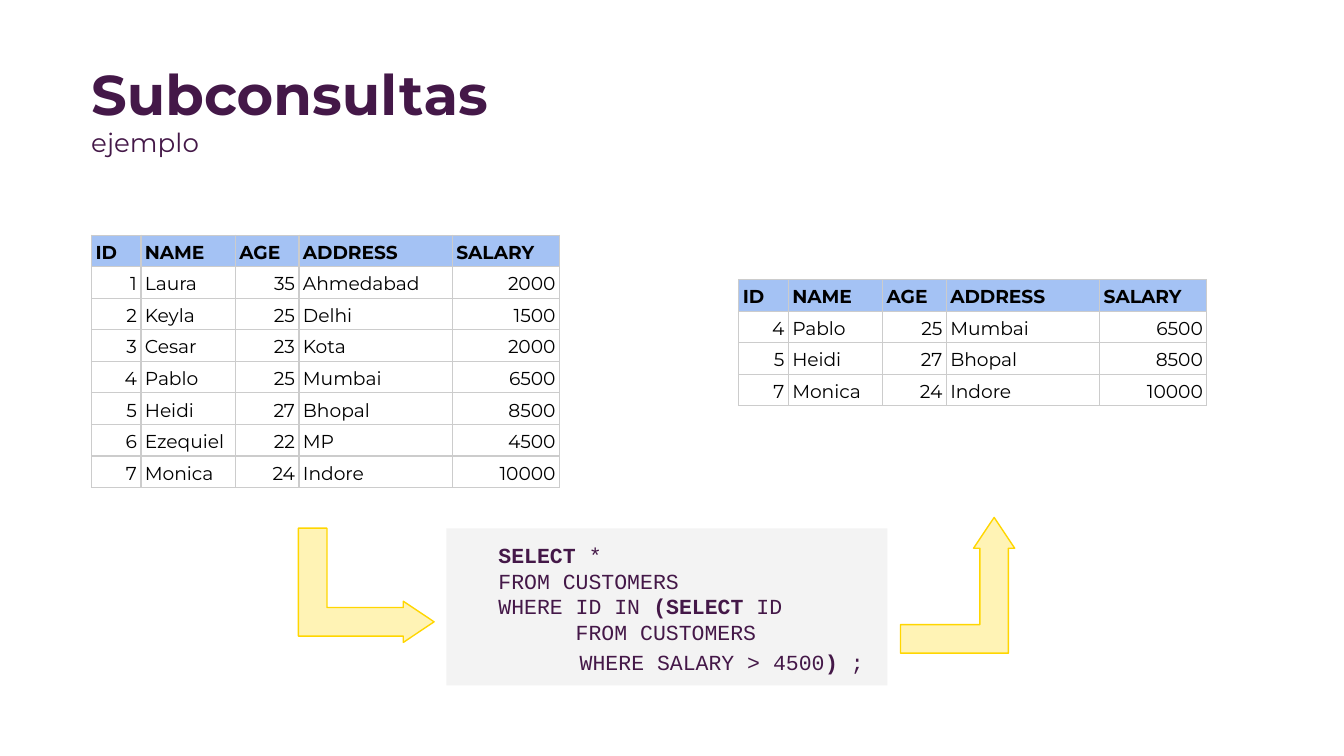
from lxml import etree
from pptx import Presentation
from pptx.dml.color import RGBColor
from pptx.enum.shapes import MSO_SHAPE
from pptx.enum.text import MSO_ANCHOR, MSO_AUTO_SIZE, PP_ALIGN
from pptx.oxml.ns import qn
from pptx.util import Pt

RECTANGLE = MSO_SHAPE.RECTANGLE
BENT_ARROW = MSO_SHAPE.BENT_UP_ARROW
BOTTOM, TOP = MSO_ANCHOR.BOTTOM, MSO_ANCHOR.TOP
LEFT, RIGHT = PP_ALIGN.LEFT, PP_ALIGN.RIGHT
FIT_SHAPE = MSO_AUTO_SIZE.SHAPE_TO_FIT_TEXT

COLORS = {
    "plum": "441848",
    "black": "000000",
    "header": "A4C2F4",
    "grid": "CCCCCC",
    "code": "F3F3F3",
    "yellow": "FFD600",
}
SANS, MONO = "Montserrat", "Courier New"

COLUMN_WIDTHS = [26.5, 50.6, 34.1, 82.2, 57.4]
ROW_HEIGHT = 16.9
HEADINGS = ("ID", "NAME", "AGE", "ADDRESS", "SALARY")
CUSTOMERS = [
    (1, "Laura", 35, "Ahmedabad", 2000),
    (2, "Keyla", 25, "Delhi", 1500),
    (3, "Cesar", 23, "Kota", 2000),
    (4, "Pablo", 25, "Mumbai", 6500),
    (5, "Heidi", 27, "Bhopal", 8500),
    (6, "Ezequiel", 22, "MP", 4500),
    (7, "Monica", 24, "Indore", 10000),
]
# Each line is a list of (text, bold) spans.
QUERY = [
    [("   ", False), ("SELECT ", True), ("*", False)],
    [("   FROM CUSTOMERS", False)],
    [("   WHERE ID IN ", False), ("(SELECT", True), (" ID", False)],
    [("         FROM CUSTOMERS", False)],
    [("         WHERE SALARY > 4500", False), (")", True), (" ;", False)],
]


def rgb(name):
    return RGBColor.from_string(COLORS[name])


def set_font(font, name, size, color, bold=None):
    font.name = name
    font.size = Pt(size)
    font.color.rgb = rgb(color)
    font.bold = bold


def set_margins(target, side, end):
    target.margin_left = target.margin_right = Pt(side)
    target.margin_top = target.margin_bottom = Pt(end)


def add_title(page, title, subtitle):
    box = page.shapes.add_textbox(Pt(41.8), Pt(24.5), Pt(631.4), Pt(81.4))
    frame = box.text_frame
    frame.word_wrap = True
    set_margins(frame, 7.2, 7.2)
    frame.text = f"{title}\n{subtitle}"
    heading, example = frame.paragraphs
    set_font(heading.font, SANS, 30, "plum", True)
    set_font(example.font, SANS, 14, "plum", False)


def add_borders(cell):
    properties = cell._tc.get_or_add_tcPr()
    for side in ("a:lnL", "a:lnR", "a:lnT", "a:lnB"):
        line = etree.SubElement(properties, qn(side), w=str(Pt(0.75)))
        fill = etree.SubElement(line, qn("a:solidFill"))
        etree.SubElement(fill, qn("a:srgbClr"), val=COLORS["grid"])


def fill_cell(cell, value, is_header):
    cell.text = str(value)
    cell.vertical_anchor = BOTTOM
    set_margins(cell, 2.16, 1.44)
    para = cell.text_frame.paragraphs[0]
    para.alignment = RIGHT if isinstance(value, int) else LEFT
    para.line_spacing = 1.15
    set_font(para.font, SANS, 10, "black", is_header)
    add_borders(cell)
    if is_header:
        cell.fill.solid()
        cell.fill.fore_color.rgb = rgb("header")
    else:
        cell.fill.background()


def add_customer_table(page, left, top, customers):
    rows = [HEADINGS, *customers]
    table = page.shapes.add_table(
        len(rows), len(HEADINGS), Pt(left), Pt(top),
        Pt(sum(COLUMN_WIDTHS)), Pt(ROW_HEIGHT * len(rows))).table
    table.first_row = table.horz_banding = False
    for column, width in zip(table.columns, COLUMN_WIDTHS):
        column.width = Pt(width)
    for row_number, values in enumerate(rows):
        table.rows[row_number].height = Pt(ROW_HEIGHT)
        for column_number, value in enumerate(values):
            fill_cell(table.cell(row_number, column_number), value, row_number == 0)


def add_query(page):
    box = page.shapes.add_shape(RECTANGLE, Pt(239.2), Pt(283.1), Pt(236.2), Pt(84.2))
    box.shadow.inherit = False
    box.fill.solid()
    box.fill.fore_color.rgb = rgb("code")
    box.line.fill.background()
    frame = box.text_frame
    frame.word_wrap = True
    frame.auto_size = FIT_SHAPE
    frame.vertical_anchor = TOP
    set_margins(frame, 7.2, 7.2)
    for number, spans in enumerate(QUERY):
        para = frame.add_paragraph() if number else frame.paragraphs[0]
        para.alignment = LEFT
        set_font(para.font, MONO, 11.5, "plum")
        for text, bold in spans:
            span = para.add_run()
            span.text = text
            span.font.bold = bold
    last_line = frame.paragraphs[-1]
    last_line.line_spacing = 1.15
    last_line._p.get_or_add_pPr().set("marL", str(Pt(2.16)))


def add_bent_arrow(page, left, rotation=0):
    arrow = page.shapes.add_shape(BENT_ARROW, Pt(left), Pt(277.2), Pt(61.2), Pt(72.7))
    arrow.rotation = rotation
    arrow.shadow.inherit = False
    for index, value in enumerate((0.25, 0.18, 0.27)):
        arrow.adjustments[index] = value
    arrow.fill.solid()
    arrow.fill.fore_color.rgb = rgb("yellow")
    color = arrow._element.spPr.find(qn("a:solidFill")).find(qn("a:srgbClr"))
    etree.SubElement(color, qn("a:alpha"), val="29000")
    arrow.line.color.rgb = rgb("yellow")
    arrow.line.width = Pt(0.75)


def main():
    deck = Presentation()
    deck.slide_width, deck.slide_height = Pt(720), Pt(405)
    page = deck.slides.add_slide(deck.slide_layouts[6])
    add_title(page, "Subconsultas", "ejemplo")
    add_customer_table(page, 49, 126, CUSTOMERS)
    add_query(page)
    selected = [customer for customer in CUSTOMERS if customer[-1] > 4500]
    add_customer_table(page, 395.8, 149.8, selected)
    add_bent_arrow(page, 165.6, rotation=90)
    add_bent_arrow(page, 482.4)
    deck.save("out.pptx")


if __name__ == "__main__":
    main()
